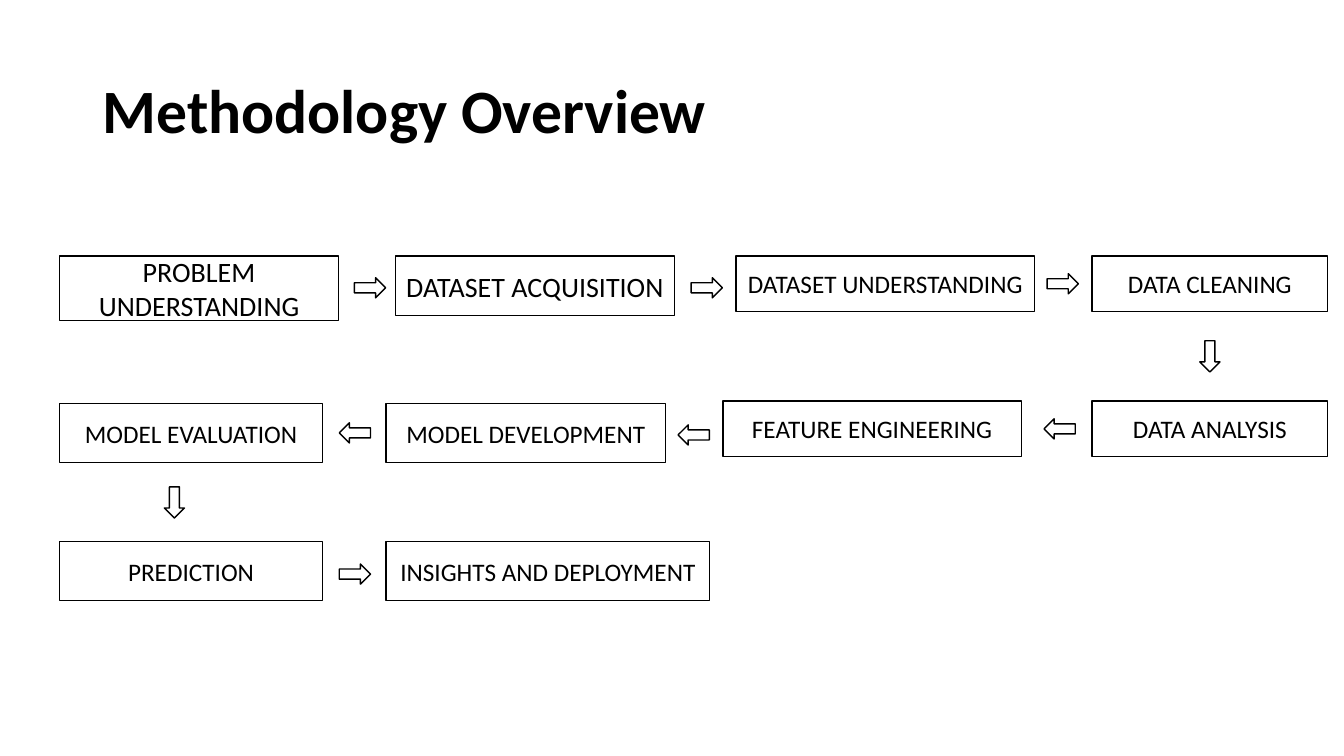
from pptx import Presentation
from pptx.dml.color import RGBColor
from pptx.enum.shapes import MSO_SHAPE as Shape
from pptx.enum.text import MSO_ANCHOR as Anchor, PP_ALIGN as Align
from pptx.util import Inches, Pt

BLACK, WHITE = "000000", "FFFFFF"


def color(hex_code):
    return RGBColor.from_string(hex_code)


def add_outlined(kind, left, top, width, height):
    shape = slide.shapes.add_shape(
        kind, Inches(left), Inches(top), Inches(width), Inches(height))
    shape.shadow.inherit = False
    shape.fill.solid()
    shape.fill.fore_color.rgb = color(WHITE)
    shape.line.color.rgb = color(BLACK)
    shape.line.width = Pt(1)
    return shape


presentation = Presentation()
presentation.slide_width = Inches(13.33)
presentation.slide_height = Inches(7.5)
slide = presentation.slides.add_slide(presentation.slide_layouts[5])

# Title
title = slide.shapes.title
title.left, title.top = Inches(0.92), Inches(0.4)
title.width, title.height = Inches(11.5), Inches(1.45)
title.text_frame.text = "Methodology Overview"
title.text_frame.vertical_anchor = Anchor.MIDDLE
paragraph = title.text_frame.paragraphs[0]
paragraph.alignment = Align.LEFT
paragraph.line_spacing = 0.9
font = paragraph.runs[0].font
font.name, font.size, font.bold = "Calibri", Pt(44), True
font.color.rgb = color(BLACK)

# Process steps: text, left, top, width, height, font size
steps = [
    ("PROBLEM UNDERSTANDING", 0.59, 2.54, 2.77, 0.64, 20),
    ("DATASET ACQUISITION", 3.92, 2.54, 2.77, 0.59, 20),
    ("DATASET UNDERSTANDING", 7.3, 2.54, 2.96, 0.55, 18),
    ("DATA CLEANING", 10.83, 2.54, 2.34, 0.55, 18),
    ("DATA ANALYSIS", 10.83, 3.98, 2.34, 0.55, 18),
    ("FEATURE ENGINEERING", 7.17, 3.98, 2.96, 0.55, 18),
    ("MODEL DEVELOPMENT", 3.83, 4, 2.77, 0.59, 18),
    ("MODEL EVALUATION", 0.59, 4, 2.61, 0.59, 18),
    ("PREDICTION", 0.59, 5.37, 2.61, 0.59, 18),
    ("INSIGHTS AND DEPLOYMENT", 3.83, 5.37, 3.21, 0.59, 18),
]
for text, left, top, width, height, size in steps:
    box = add_outlined(Shape.RECTANGLE, left, top, width, height)
    frame = box.text_frame
    frame.word_wrap = True
    frame.vertical_anchor = Anchor.MIDDLE
    frame.text = text
    paragraph = frame.paragraphs[0]
    paragraph.alignment = Align.CENTER
    font = paragraph.runs[0].font
    font.name, font.size = "Calibri", Pt(size)
    font.color.rgb = color(BLACK)

# Flow arrows: a down arrow turned to point at the next step
DOWN, LEFT, RIGHT = 0, 90, 270
arrows = [
    (3.57, 2.7, RIGHT), (6.91, 2.7, RIGHT), (10.44, 2.66, RIGHT),
    (11.9, 3.38, DOWN),
    (10.41, 4.1, LEFT), (6.78, 4.16, LEFT), (3.42, 4.14, LEFT),
    (1.63, 4.83, DOWN),
    (3.42, 5.54, RIGHT),
]
for left, top, rotation in arrows:
    arrow = add_outlined(Shape.DOWN_ARROW, left, top, 0.2, 0.31)
    arrow.rotation = rotation

presentation.save("out.pptx")
